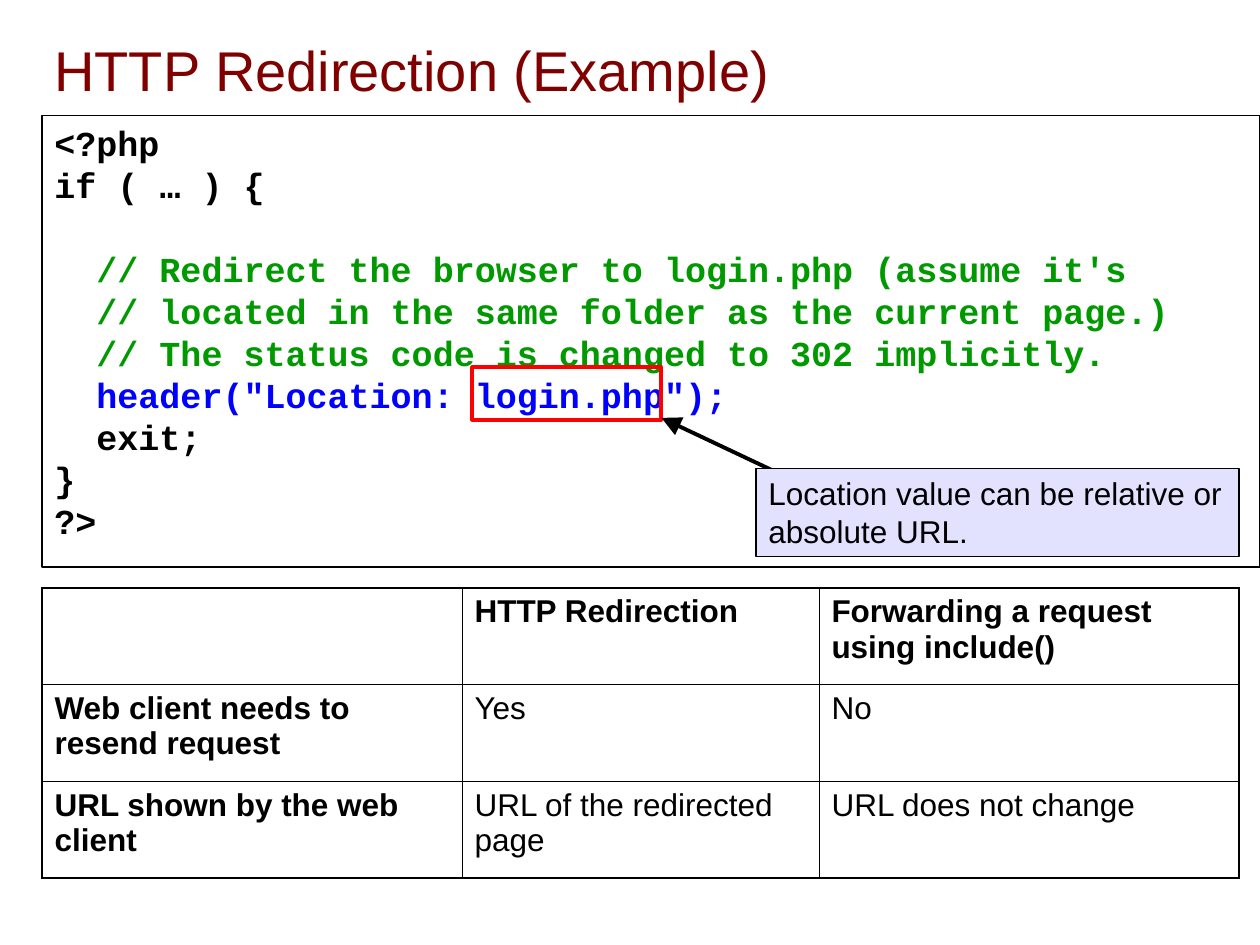
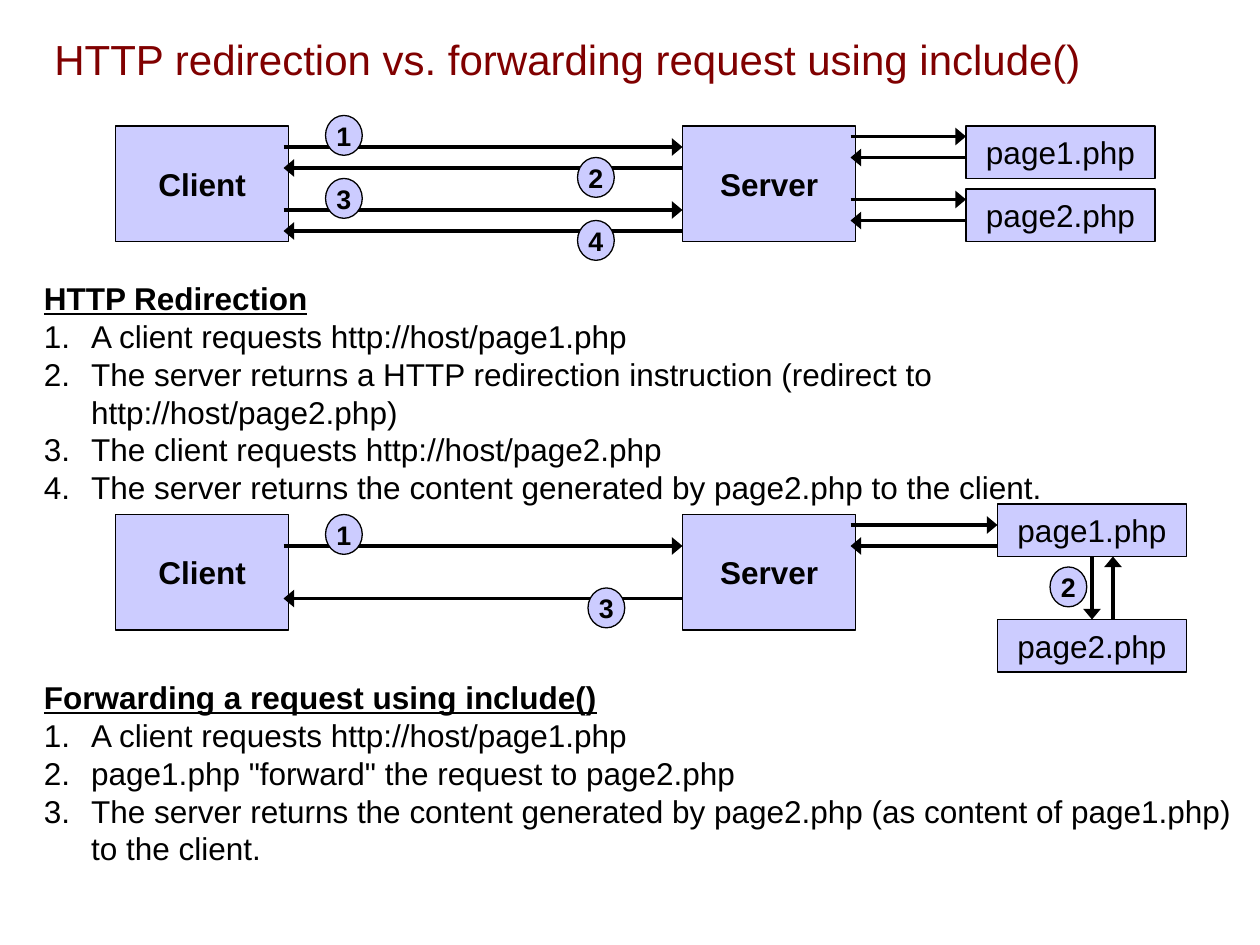
from dataclasses import dataclass

from lxml.etree import SubElement
from pptx import Presentation
from pptx.dml.color import RGBColor
from pptx.enum.shapes import MSO_CONNECTOR, MSO_SHAPE
from pptx.enum.text import MSO_ANCHOR, PP_ALIGN
from pptx.oxml.ns import qn
from pptx.util import Emu, Pt

PX = 7620  # EMU in one px, 120 px to the inch


@dataclass(frozen=True)
class Theme:
    black: str = "000000"
    white: str = "FFFFFF"
    title: str = "800000"
    comment: str = "009900"
    statement: str = "0000FF"
    highlight: str = "FF0000"
    callout: str = "E2E2FF"
    node: str = "CCCCFF"
    sans: str = "Arial"
    mono: str = "Courier New"
    title_size: int = 32
    long_title_size: int = 24
    code_size: int = 20
    body_size: int = 18
    badge_size: float = 15.3
    thin: float = 0.75
    arrow: float = 2
    bold_line: float = 2.25
    table_outer: float = 1.08
    table_inner: float = 0.45


def px(*values):
    return [Emu(v * PX) for v in values]


def rgb(color):
    return RGBColor.from_string(color)


class Deck:
    def __init__(self, theme):
        self.t = theme
        self.prs = Presentation()
        self.prs.slide_width, self.prs.slide_height = px(1200, 900)
        self.s = None

    def new_slide(self, title, size, height):
        self.s = self.prs.slides.add_slide(self.prs.slide_layouts[6])
        tf = self.text_box(40, 22, 1130, height)
        tf.vertical_anchor = MSO_ANCHOR.MIDDLE
        self.para(tf, title, size=size, color=self.t.title)

    # Text
    def text_box(self, x, y, w, h):
        tf = self.s.shapes.add_textbox(*px(x, y, w, h)).text_frame
        tf.word_wrap = True
        return tf

    def para(self, tf, text, size=None, color=None, font=None, bold=False,
             underline=False, left=0, hanging=0, numbered=False,
             alignment=PP_ALIGN.LEFT, space_before=0):
        p = tf.paragraphs[0]
        if p.runs:
            p = tf.add_paragraph()
        p.alignment = alignment
        p.space_before = Pt(space_before)
        pPr = p._p.get_or_add_pPr()
        pPr.set("marL", str(left * PX))
        pPr.set("indent", str(-hanging * PX))
        if numbered:
            SubElement(pPr, qn("a:buFont"), typeface="+mj-lt")
            SubElement(pPr, qn("a:buAutoNum"), type="arabicPeriod")
        r = p.add_run()
        r.text = text
        fmt = {"name": font or self.t.sans, "size": Pt(size or self.t.body_size),
               "bold": bold, "underline": underline}
        for name, value in fmt.items():
            setattr(r.font, name, value)
        r.font.color.rgb = rgb(color or self.t.black)

    def numbered_list(self, y, h, heading, items):
        tf = self.text_box(30, y, 1170, h)
        fmt = {"left": 45, "hanging": 45}
        self.para(tf, heading, bold=True, underline=True, **fmt)
        for item in items:
            self.para(tf, item, numbered=True, **fmt)

    # Shapes
    def shape(self, x, y, w, h, fill=None, line=None, width=None,
              kind=MSO_SHAPE.RECTANGLE):
        sp = self.s.shapes.add_shape(kind, *px(x, y, w, h))
        sp.shadow.inherit = False
        if fill:
            sp.fill.solid()
            sp.fill.fore_color.rgb = rgb(fill)
        else:
            sp.fill.background()
        sp.line.color.rgb = rgb(line or self.t.black)
        sp.line.width = Pt(width or self.t.thin)
        return sp

    def panel(self, x, y, w, h, fill):
        tf = self.shape(x, y, w, h, fill).text_frame
        tf.word_wrap = True
        tf.vertical_anchor = MSO_ANCHOR.TOP
        return tf

    def label(self, sp, text, **fmt):
        sp.text_frame.vertical_anchor = MSO_ANCHOR.MIDDLE
        self.para(sp.text_frame, text, alignment=PP_ALIGN.CENTER, **fmt)
        return sp

    def host(self, x, y, text):
        return self.label(self.shape(x, y, 165, 110, self.t.node), text, bold=True)

    def page(self, x, y, text):
        return self.label(self.shape(x, y, 180, 50, self.t.node), text)

    def badge(self, x, y, number):
        sp = self.shape(x, y, 35, 38, self.t.node, kind=MSO_SHAPE.OVAL)
        for side in ("left", "top", "right", "bottom"):
            setattr(sp.text_frame, f"margin_{side}", px(2)[0])
        sp.text_frame.word_wrap = False
        self.label(sp, str(number), size=self.t.badge_size, bold=True)

    def arrow(self, x1, y1, x2, y2, width=None, head="med"):
        c = self.s.shapes.add_connector(MSO_CONNECTOR.STRAIGHT, *px(x1, y1, x2, y2))
        c.line.color.rgb = rgb(self.t.black)
        c.line.width = Pt(width or self.t.arrow)
        SubElement(c.line._get_or_add_ln(), qn("a:tailEnd"),
                   type="triangle", w="lg", len=head)
        SubElement(c._element.spPr, qn("a:effectLst"))
        return c

    # Table
    def border(self, cell, side, width):
        tcPr = cell._tc.get_or_add_tcPr()
        ln = SubElement(tcPr, qn(f"a:ln{side}"), w=str(int(Pt(width))))
        SubElement(SubElement(ln, qn("a:solidFill")), qn("a:srgbClr"),
                   val=self.t.black)

    def table(self, x, y, widths, row_height, rows):
        last_row, last_col = len(rows) - 1, len(widths) - 1
        frame = self.s.shapes.add_table(
            len(rows), len(widths),
            *px(x, y, sum(widths), row_height * len(rows)))
        tbl = frame.table
        tbl.first_row = tbl.horz_banding = False
        for column, width in zip(tbl.columns, widths):
            column.width = px(width)[0]
        for i, row in enumerate(rows):
            tbl.rows[i].height = px(row_height)[0]
            for j, text in enumerate(row):
                cell = tbl.cell(i, j)
                outer = {"L": j == 0, "R": j == last_col,
                         "T": i == 0, "B": i == last_row}
                for side, is_outer in outer.items():
                    self.border(cell, side, self.t.table_outer if is_outer
                                else self.t.table_inner)
                cell.fill.solid()
                cell.fill.fore_color.rgb = rgb(self.t.white)
                if text:
                    self.para(cell.text_frame, text, bold=i == 0 or j == 0)


def example_slide(d):
    t = d.t
    d.new_slide("HTTP Redirection (Example)", t.title_size, 88)

    # Code listing: text, colour, indent, space before
    code = [
        ("<?php", t.black, 0, 0),
        ("if ( … ) {", t.black, 0, 0),
        ("// Redirect the browser to login.php (assume it's", t.comment, 40, 24),
        ("// located in the same folder as the current page.)", t.comment, 40, 0),
        ("// The status code is changed to 302 implicitly.", t.comment, 40, 0),
        ('header("Location: login.php");', t.statement, 40, 0),
        ("exit;", t.black, 40, 0),
        ("}", t.black, 0, 0),
        ("?>", t.black, 0, 0),
    ]
    tf = d.panel(40, 110, 1160, 430, t.white)
    for text, color, left, before in code:
        d.para(tf, text, size=t.code_size, color=color, font=t.mono, bold=True,
               left=left, space_before=before)

    # Comparison
    d.table(40, 560, [400, 340, 400], 92, [
        ["", "HTTP Redirection", "Forwarding a request using include()"],
        ["Web client needs to resend request", "Yes", "No"],
        ["URL shown by the web client", "URL of the redirected page",
         "URL does not change"],
    ])

    # Highlighted value and its callout
    d.shape(450, 350, 180, 50, line=t.highlight, width=t.bold_line)
    d.arrow(740, 450, 630, 398, t.bold_line, head="lg")
    tf = d.panel(720, 446, 460, 84, t.callout)
    d.para(tf, "Location value can be relative or absolute URL.")


def comparison_slide(d):
    d.new_slide("HTTP redirection vs. forwarding request using include()",
                d.t.long_title_size, 68)

    # Clients and servers
    for y in (120, 490):
        d.host(110, y, "Client")
        d.host(650, y, "Server")

    # Redirection: two round trips, one page each
    for i in range(2):
        y = 120 + 60 * i
        d.page(920, y, f"page{i + 1}.php")
        d.arrow(270, y + 20, 650, y + 20)
        d.arrow(650, y + 40, 270, y + 40)
        d.arrow(810, y + 10, 920, y + 10)
        d.arrow(920, y + 30, 810, y + 30)
        d.badge(310, y - 10, 2 * i + 1)
        d.badge(550, y + 30, 2 * i + 2)

    # Forwarding: one round trip, page1 calls page2
    d.arrow(270, 520, 650, 520)
    d.arrow(650, 570, 270, 570)
    d.arrow(810, 500, 950, 500)
    d.arrow(950, 520, 810, 520)
    page1 = d.page(950, 480, "page1.php")
    page2 = d.page(950, 590, "page2.php")
    call = d.arrow(1040, 530, 1040, 590)
    call.begin_connect(page1, 2)
    call.end_connect(page2, 0)
    d.arrow(1060, 590, 1060, 530)
    for number, (x, y) in enumerate([(310, 490), (1000, 540), (560, 560)], 1):
        d.badge(x, y, number)

    # Explanations
    d.numbered_list(260, 190, "HTTP Redirection", [
        "A client requests http://host/page1.php",
        "The server returns a HTTP redirection instruction "
        "(redirect to http://host/page2.php)",
        "The client requests http://host/page2.php",
        "The server returns the content generated by page2.php to the client.",
    ])
    d.numbered_list(640, 210, "Forwarding a request using include()", [
        "A client requests http://host/page1.php",
        'page1.php "forward" the request to page2.php',
        "The server returns the content generated by page2.php "
        "(as content of page1.php) to the client.",
    ])


def main():
    d = Deck(Theme())
    example_slide(d)
    comparison_slide(d)
    d.prs.save("out.pptx")


if __name__ == "__main__":
    main()
